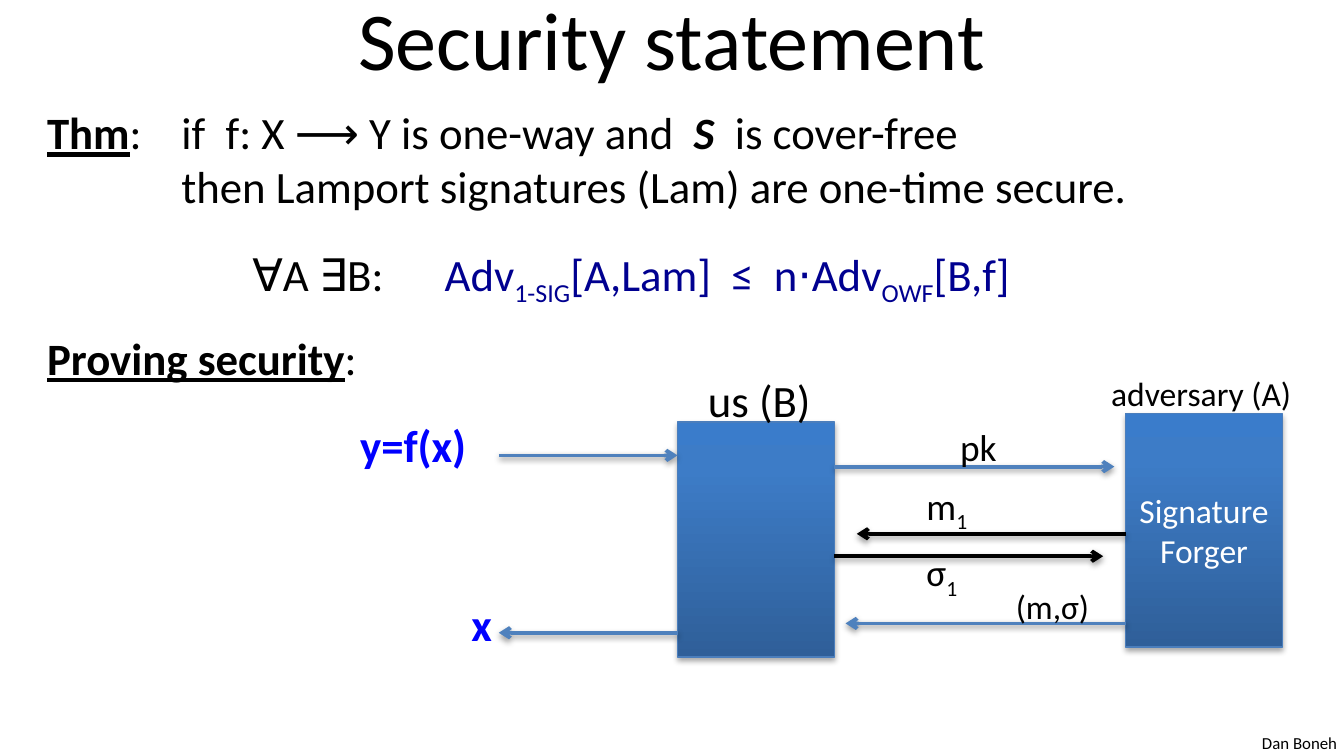
from copy import deepcopy

from lxml.etree import SubElement
from pptx import Presentation
from pptx.dml.color import RGBColor
from pptx.enum.shapes import MSO_CONNECTOR, MSO_SHAPE
from pptx.enum.text import MSO_ANCHOR, MSO_AUTO_SIZE, PP_ALIGN
from pptx.oxml.ns import qn
from pptx.util import Pt

FONT = "Calibri"
BLACK, WHITE, BLUE, NAVY = "000000", "FFFFFF", "0000FF", "000090"
ARROW_BLUE, BOX_LINE = "4F81BD", "4B7EBC"
BOX_GRADIENT = [(0, "2F5F99"), (0.8, "3D7CC7"), (1, "3A7CCB")]
HEADING = {"bold": True, "underline": True}


def color(hex_string):
    return RGBColor.from_string(hex_string)


def place(shape, left, top, width, height):
    shape.left, shape.top = Pt(left), Pt(top)
    shape.width, shape.height = Pt(width), Pt(height)


def set_font(paragraph, size, hex_string=BLACK, bold=False):
    font = paragraph.font
    font.name, font.size, font.bold = FONT, Pt(size), bold
    font.color.rgb = color(hex_string)


def add_runs(paragraph, pieces):
    """Each piece is (text, style); a newline in the text breaks the line."""
    for text, style in pieces:
        for number, line in enumerate(text.split("\n")):
            if number:
                paragraph.add_line_break()
            run = paragraph.add_run()
            run.text = line
            run.font.bold = style.get("bold")
            run.font.italic = style.get("italic")
            run.font.underline = style.get("underline")
            if "color" in style:
                run.font.color.rgb = color(style["color"])
            if style.get("subscript"):
                run._r.get_or_add_rPr().set("baseline", "-25000")


def add_shadow(shape, distance, opacity):
    effects = SubElement(shape._element.spPr, qn("a:effectLst"))
    shadow = SubElement(effects, qn("a:outerShdw"), blurRad=str(Pt(3.15)),
                        dist=str(Pt(distance)), dir="5400000", rotWithShape="0")
    shade = SubElement(shadow, qn("a:srgbClr"), val=BLACK)
    SubElement(shade, qn("a:alpha"), val=str(opacity * 1000))


def add_label(slide, text, left, top, width, height, size,
              hex_string=BLACK, bold=False, subscript=""):
    box = slide.shapes.add_textbox(Pt(left), Pt(top), Pt(width), Pt(height))
    box.text_frame.word_wrap = False
    box.text_frame.auto_size = MSO_AUTO_SIZE.SHAPE_TO_FIT_TEXT
    paragraph = box.text_frame.paragraphs[0]
    pieces = [(text, {})]
    if subscript:
        pieces.append((subscript, {"subscript": True}))
    add_runs(paragraph, pieces)
    set_font(paragraph, size, hex_string, bold)


def add_party(slide, left, top, width, height, text=""):
    shape = slide.shapes.add_shape(MSO_SHAPE.RECTANGLE, Pt(left), Pt(top),
                                   Pt(width), Pt(height))
    # Three-stop vertical gradient, darkest at the bottom
    shape.fill.gradient()
    shape.fill.gradient_angle = 90
    stops = shape._element.spPr.find(qn("a:gradFill")).find(qn("a:gsLst"))
    stops.append(deepcopy(stops[-1]))
    for stop, (position, hex_string) in zip(shape.fill.gradient_stops, BOX_GRADIENT):
        stop.position = position
        stop.color.rgb = color(hex_string)
    shape.line.color.rgb = color(BOX_LINE)
    shape.line.width = Pt(0.75)
    add_shadow(shape, 1.8, 35)
    if text:
        shape.text_frame.vertical_anchor = MSO_ANCHOR.MIDDLE
        paragraph = shape.text_frame.paragraphs[0]
        paragraph.alignment = PP_ALIGN.CENTER
        add_runs(paragraph, [(text, {})])
        set_font(paragraph, 18, WHITE)


def add_arrow(slide, start, end, y, hex_string=ARROW_BLUE):
    arrow = slide.shapes.add_connector(MSO_CONNECTOR.STRAIGHT,
                                       Pt(start), Pt(y), Pt(end), Pt(y))
    arrow.line.color.rgb = color(hex_string)
    arrow.line.width = Pt(2)
    SubElement(arrow.line._get_or_add_ln(), qn("a:tailEnd"), type="arrow")
    add_shadow(arrow, 1.6, 38)


def fill_title(slide):
    title = slide.shapes.title
    place(title, 36, -13.5, 648, 67.5)
    title.text_frame.vertical_anchor = MSO_ANCHOR.MIDDLE
    paragraph = title.text_frame.paragraphs[0]
    paragraph.alignment = PP_ALIGN.CENTER
    add_runs(paragraph, [("Security statement", {})])
    set_font(paragraph, 44)


def fill_body(slide):
    body = slide.placeholders[1]
    place(body, 18, 52.7, 648, 156)
    frame = body.text_frame
    frame.auto_size = MSO_AUTO_SIZE.NONE
    navy, navy_subscript = {"color": NAVY}, {"color": NAVY, "subscript": True}
    # Space before, left margin, first-line indent, runs;
    # a tab in a hanging first line leads to the left margin
    paragraphs = [
        (0, 72, -72, [
            ("Thm", HEADING),
            (":\tif  f: X ⟶ Y is one-way and  ", {}),
            ("S  ", {"bold": True, "italic": True}),
            ("is cover-free\nthen Lamport signatures (Lam) are one-time secure.", {}),
        ]),
        (18.2, 213, -103, [
            ("∀A ∃B:\t", {}),
            ("Adv", navy), ("1-SIG", navy_subscript),
            ("[A,Lam]  ≤  n⋅Adv", navy), ("OWF", navy_subscript),
            ("[B,f]", navy),
        ]),
        (12.2, 0, 0, [("Proving security", HEADING), (":", {})]),
    ]
    for number, (space, margin, indent, pieces) in enumerate(paragraphs):
        paragraph = frame.add_paragraph() if number else frame.paragraphs[0]
        properties = paragraph._p.get_or_add_pPr()
        properties.set("marL", str(Pt(margin)))
        properties.set("indent", str(Pt(indent)))
        SubElement(properties, qn("a:buNone"))
        paragraph.space_before = Pt(space)
        add_runs(paragraph, pieces)
        set_font(paragraph, 24)


def main():
    presentation = Presentation()
    presentation.slide_width, presentation.slide_height = Pt(720), Pt(405)
    slide = presentation.slides.add_slide(presentation.slide_layouts[1])

    add_label(slide, "Dan Boneh", 669, 389.2, 54.7, 18, 9)
    fill_title(slide)
    fill_body(slide)

    # The two parties
    add_party(slide, 603, 221.6, 84, 125, "Signature\nForger")
    add_label(slide, "adversary (A)", 588.2, 196.2, 112.3, 28.8, 18)
    add_party(slide, 363, 226, 84, 126)
    add_label(slide, "us (B)", 372.2, 196.2, 69.8, 36, 24)

    # Challenge and its inversion
    add_arrow(slide, 267.2, 363, 244)
    add_label(slide, "y=f(x)", 185.8, 220.3, 72.7, 36, 24, BLUE, True)
    add_arrow(slide, 363, 267.2, 339)
    add_label(slide, "x", 245.5, 316.1, 25.9, 36, 24, BLUE, True)

    # Messages between the parties
    add_arrow(slide, 447, 597, 250)
    add_label(slide, "pk", 507.2, 223.6, 34.6, 31.7, 20)
    add_arrow(slide, 603, 459, 286, BLACK)
    add_label(slide, "m", 489.2, 255.3, 37.4, 31.7, 20, subscript="1")
    add_arrow(slide, 447, 591, 298, BLACK)
    add_label(slide, "σ", 489.2, 290.9, 32.4, 31.7, 20, subscript="1")
    add_arrow(slide, 603, 453, 334)
    add_label(slide, "(m,σ)", 537.1, 310.3, 54, 28.8, 18)

    presentation.save("out.pptx")


if __name__ == "__main__":
    main()
